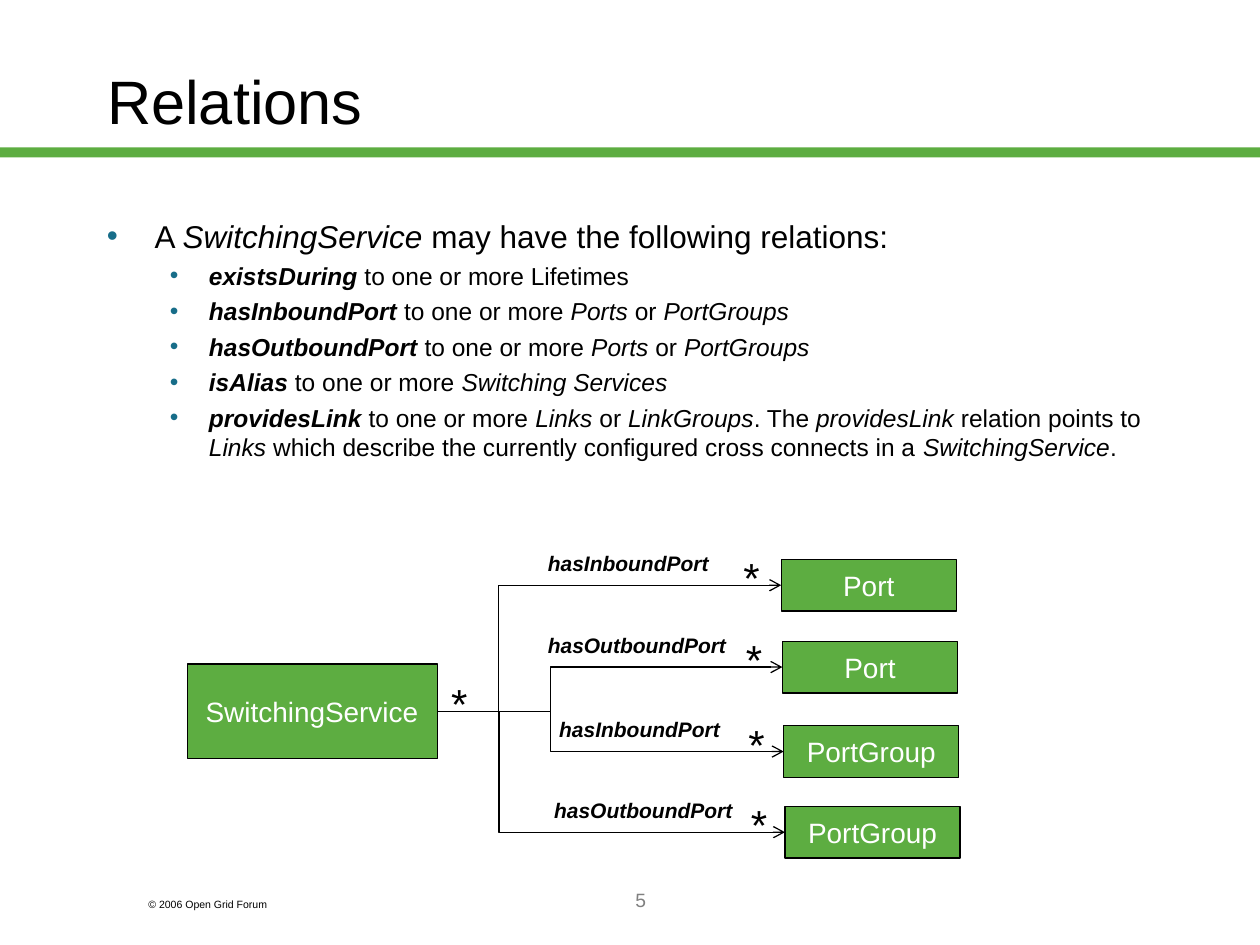
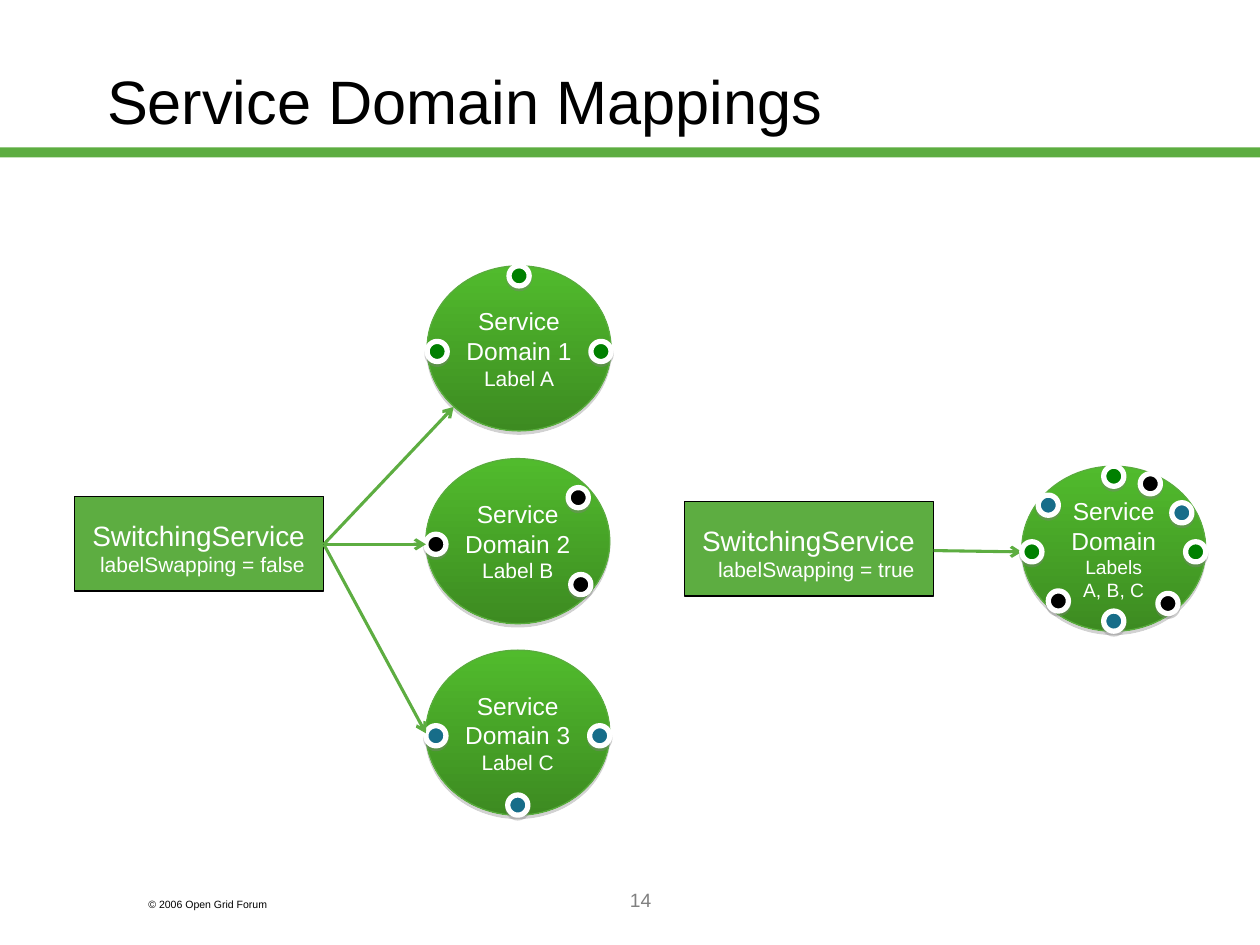
"""Build two slides on switching service relations and service domain mappings."""
import dataclasses

import pptx
import pptx.dml.color
import pptx.enum.dml
import pptx.enum.shapes
import pptx.enum.text
import pptx.oxml.ns
import pptx.oxml.xmlchemy
import pptx.util

Inches = pptx.util.Inches
Pt = pptx.util.Pt
ALIGN = pptx.enum.text.PP_ALIGN
ANCHOR = pptx.enum.text.MSO_ANCHOR
SHAPE = pptx.enum.shapes.MSO_SHAPE
CONNECTOR = pptx.enum.shapes.MSO_CONNECTOR


@dataclasses.dataclass(frozen=True)
class Theme:
    font: str = "Arial"
    green: str = "5DAD41"
    domain_top: str = "51BB2D"
    domain_bottom: str = "3D8B21"
    domain_edge: str = "59AC3D"
    port_green: str = "008000"
    teal: str = "176D89"
    black: str = "000000"
    white: str = "FFFFFF"
    gray: str = "808080"
    title_size: int = 35
    star_size: int = 24
    lead_size: int = 18
    box_size: int = 16
    body_size: int = 14
    label_size: int = 12
    number_size: int = 11
    footer_size: int = 6


THEME = Theme()


def rgb(color):
    return pptx.dml.color.RGBColor.from_string(color)


def add_xml(parent, tag, **attributes):
    child = parent.makeelement(pptx.oxml.ns.qn(tag), attributes)
    parent.append(child)
    return child


def write(paragraph, text, size=THEME.body_size, color=THEME.black, bold=False, italic=False):
    run = paragraph.add_run()
    run.text = text
    font = run.font
    font.name, font.size, font.bold, font.italic = THEME.font, Pt(size), bold, italic
    font.color.rgb = rgb(color)


def write_lines(frame, lines, align, **style):
    for i, (text, size) in enumerate(lines):
        paragraph = frame.add_paragraph() if i else frame.paragraphs[0]
        paragraph.alignment = align
        write(paragraph, text, size=size, **style)


class Deck:
    def __init__(self, theme):
        self.theme = theme
        self.presentation = pptx.Presentation()
        self.presentation.slide_width = Inches(10)
        self.presentation.slide_height = Inches(7.5)
        self.slide = None

    def start_slide(self, title, number):
        theme = self.theme
        self.slide = self.presentation.slides.add_slide(self.presentation.slide_layouts[5])
        self.shape(SHAPE.RECTANGLE, 0, 1.17, 10, 0.08, theme.green)
        heading = self.slide.shapes.title
        heading.left, heading.top = Inches(0.75), Inches(0.17)
        heading.width, heading.height = Inches(8.5), Inches(1.25)
        heading.text_frame.auto_size = pptx.enum.text.MSO_AUTO_SIZE.NONE
        heading.text_frame.vertical_anchor = ANCHOR.MIDDLE
        write_lines(heading.text_frame, [(title, theme.title_size)], ALIGN.LEFT)
        self.text("© 2006 Open Grid Forum", 1.08, 7.08, 1.5, 0.2, size=theme.footer_size)
        self.text(number, 2.17, 7, 5.83, 0.5, align=ALIGN.CENTER,
                  size=theme.number_size, color=theme.gray)

    def frame(self, left, top, width, height):
        box = self.slide.shapes.add_textbox(
            Inches(left), Inches(top), Inches(width), Inches(height))
        box.text_frame.word_wrap = True
        return box.text_frame

    def text(self, text, left, top, width, height, align=ALIGN.LEFT, **style):
        paragraph = self.frame(left, top, width, height).paragraphs[0]
        paragraph.alignment = align
        write(paragraph, text, **style)

    def star(self, left, top):
        self.text("*", left, top, 0.33, 0.5, align=ALIGN.CENTER, size=self.theme.star_size)

    def shape(self, kind, left, top, width, height, fill=None, edge=None, edge_width=0.75):
        shape = self.slide.shapes.add_shape(
            kind, Inches(left), Inches(top), Inches(width), Inches(height))
        shape.shadow.inherit = False
        if fill:
            shape.fill.solid()
            shape.fill.fore_color.rgb = rgb(fill)
        if edge:
            shape.line.color.rgb = rgb(edge)
            shape.line.width = Pt(edge_width)
        else:
            shape.line.fill.background()
        return shape

    def cast_shadow(self, shape, opacity, distance):
        effects = shape._element.spPr.find(pptx.oxml.ns.qn("a:effectLst"))
        shadow = add_xml(effects, "a:outerShdw", blurRad="0", dist=str(Pt(distance)),
                         dir="5400000", rotWithShape="0")
        tint = add_xml(shadow, "a:srgbClr", val=self.theme.gray)
        add_xml(tint, "a:alpha", val=str(opacity * 1000))

    def box(self, lines, left, top, width, height, align=ALIGN.CENTER, margins=(0.05, 0.05, 0.05, 0.05)):
        shape = self.shape(SHAPE.RECTANGLE, left, top, width, height,
                           self.theme.green, self.theme.black)
        frame = shape.text_frame
        frame.vertical_anchor = ANCHOR.MIDDLE
        (frame.margin_left, frame.margin_top,
         frame.margin_right, frame.margin_bottom) = map(Inches, margins)
        write_lines(frame, lines, align, color=self.theme.white)

    def service(self, left, top, setting=None):
        lines = [("SwitchingService", self.theme.box_size)]
        if setting:
            lines.append((f"labelSwapping = {setting}", self.theme.label_size))
        top_margin = 0.11 if setting else 0.05
        self.box(lines, left, top, 1.98, 0.75, ALIGN.RIGHT, (0, top_margin, 0.15, 0.05))

    def domain(self, lines, left, top, ports):
        theme = self.theme
        ellipse = self.shape(SHAPE.OVAL, left, top, 1.46, 1.31, edge=theme.domain_edge)
        ellipse.fill.gradient()
        ellipse.fill.gradient_angle = 270
        for stop, color in zip(ellipse.fill.gradient_stops, (theme.domain_top, theme.domain_bottom)):
            stop.color.rgb = rgb(color)
        self.cast_shadow(ellipse, 35, 1.8)
        frame = ellipse.text_frame
        frame.vertical_anchor = ANCHOR.MIDDLE
        frame.margin_left = frame.margin_right = Inches(0.08)
        write_lines(frame, lines, ALIGN.CENTER, color=theme.white)
        for color, offsets in ports.items():
            for across, down in offsets:
                port = self.shape(SHAPE.OVAL, left + across, top + down, 0.16, 0.16,
                                  color, theme.white, 3)
                self.cast_shadow(port, 38, 1.6)

    def arrow(self, start, end, color, width, bend_x=None):
        kind = CONNECTOR.STRAIGHT if bend_x is None else CONNECTOR.ELBOW
        arrow = self.slide.shapes.add_connector(kind, *map(Inches, start + end))
        arrow.line.color.rgb = rgb(color)
        arrow.line.width = Pt(width)
        properties = arrow._element.spPr
        add_xml(properties.find(pptx.oxml.ns.qn("a:ln")), "a:tailEnd", type="arrow")
        add_xml(properties, "a:effectLst")
        if bend_x is not None:
            share = (bend_x - start[0]) / (end[0] - start[0])
            guides = properties.find(".//" + pptx.oxml.ns.qn("a:avLst"))
            add_xml(guides, "a:gd", name="adj1", fmla=f"val {round(share * 100000)}")

    def bullet(self, paragraph, level, margin, hanging, space):
        paragraph.level = level
        properties = paragraph._p.get_or_add_pPr()
        properties.set("marL", str(Inches(margin)))
        properties.set("indent", str(-Inches(hanging)))
        add_xml(add_xml(properties, "a:buClr"), "a:srgbClr", val=self.theme.teal)
        add_xml(properties, "a:buFont", typeface=self.theme.font)
        add_xml(properties, "a:buChar", char="•")
        paragraph.space_before = Pt(space)


def write_mixed(paragraph, text, **style):
    for i, part in enumerate(text.split("|")):
        if part:
            write(paragraph, part, italic=i % 2 == 1, **style)


def build_relations(deck):
    theme = deck.theme
    deck.start_slide("Relations", "5")
    body = deck.frame(0.75, 1.67, 8.5, 2.55)
    lead = body.paragraphs[0]
    deck.bullet(lead, 0, 0.38, 0.38, 0)
    write_mixed(lead, "A |SwitchingService| may have the following relations:", size=theme.lead_size)
    relations = [
        ("existsDuring", "Lifetimes"),
        ("hasInboundPort", "|Ports| or |PortGroups|"),
        ("hasOutboundPort", "|Ports| or |PortGroups|"),
        ("isAlias", "|Switching Services|"),
        ("providesLink", "|Links| or |LinkGroups|. The |providesLink| relation points to |Links| "
         "which describe the currently configured cross connects in a |SwitchingService|."),
    ]
    for relation, targets in relations:
        paragraph = body.add_paragraph()
        deck.bullet(paragraph, 1, 0.81, 0.31, 3.5)
        write(paragraph, relation, bold=True, italic=True)
        write_mixed(paragraph, " to one or more " + targets)

    deck.service(1.49, 5.27)
    targets = [
        ("Port", 4.44, "hasInboundPort", 4.25, 3.96),
        ("Port", 5.09, "hasOutboundPort", 4.25, 4.37),
        ("PortGroup", 5.76, "hasInboundPort", 4.34, 4.37),
        ("PortGroup", 6.4, "hasOutboundPort", 4.3, 3.96),
    ]
    for i, (target, top, relation, relation_left, bend_x) in enumerate(targets):
        left = 6.2 + 0.01 * i
        deck.box([(target, theme.box_size)], left, top, 1.39, 0.41)
        deck.arrow((3.48, 5.65), (left, top + 0.205), theme.black, 0.75, bend_x)
        deck.text(relation, relation_left, top - 0.12, 1.66, 0.3,
                  size=theme.label_size, bold=True, italic=True)
        deck.star(5.8 + 0.02 * i, top - 0.11)
    deck.star(3.48, 5.33)


def build_mappings(deck):
    theme = deck.theme
    deck.start_slide("Service Domain Mappings", "14")
    west, east, north, south = (0, 0.6), (1.3, 0.6), (0.65, 0), (0.65, 1.15)
    domains = [
        ("A", 3.39, 2.11, {theme.port_green: [north, east, west]}),
        ("B", 3.38, 3.64, {theme.black: [(1.13, 0.23), (1.15, 0.92), west]}),
        ("C", 3.38, 5.16, {theme.teal: [east, south, west]}),
    ]
    for number, (label, left, top, ports) in enumerate(domains, 1):
        lines = [(f"Service Domain {number}", theme.body_size), (f"Label {label}", theme.label_size)]
        deck.domain(lines, left, top, ports)
    deck.service(0.59, 3.94, "false")
    for end in [(3.6, 3.23), (3.38, 4.32), (3.38, 5.82)]:
        deck.arrow((2.57, 4.32), end, theme.green, 1.75)

    deck.service(5.43, 3.98, "true")
    deck.arrow((7.41, 4.37), (8.11, 4.38), theme.green, 1.75)
    merged_lines = [("Service Domain", theme.body_size), ("Labels", theme.number_size),
                    ("A, B, C", theme.number_size)]
    deck.domain(merged_lines, 8.11, 3.7, {
        theme.port_green: [north, east, west],
        theme.black: [(0.94, 0.06), (1.08, 1.01), (0.21, 0.99)],
        theme.teal: [(1.19, 0.29), south, (0.13, 0.23)],
    })


def main():
    deck = Deck(THEME)
    build_relations(deck)
    build_mappings(deck)
    deck.presentation.save("out.pptx")


if __name__ == "__main__":
    main()
